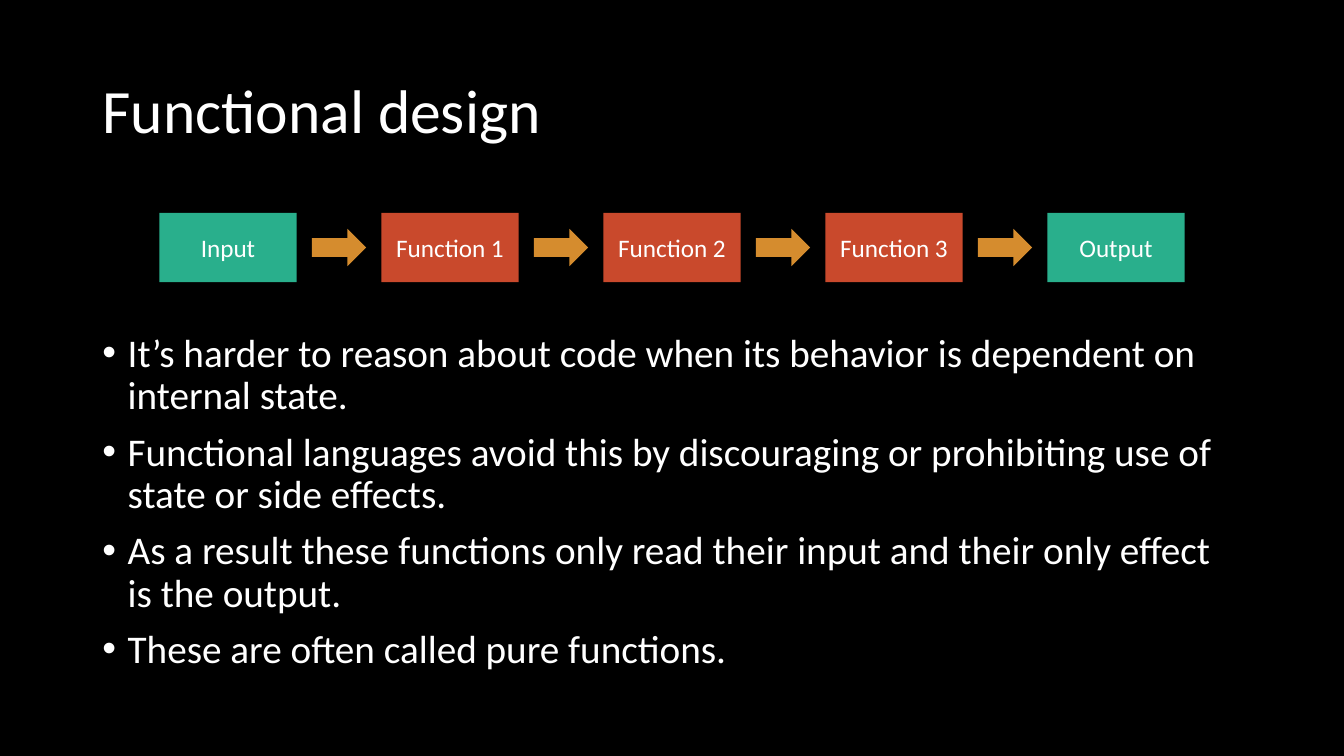
from lxml.etree import SubElement
from pptx import Presentation
from pptx.dml.color import RGBColor
from pptx.enum.shapes import MSO_SHAPE as Preset
from pptx.enum.text import MSO_ANCHOR as Anchor, MSO_AUTO_SIZE as AutoSize, PP_ALIGN as Align
from pptx.oxml.ns import qn
from pptx.util import Pt

COLORS = {
    "background": "000000",
    "text": "FFFFFF",
    "data": "29AF8C",
    "function": "C9492C",
    "arrow": "D58C2E",
}
FONT = "Calibri"
PAGE_WIDTH, PAGE_HEIGHT = 960, 540

# Pipeline measures, in points
STEP_WIDTH, STEP_HEIGHT = 98, 49.4
ARROW_WIDTH, ARROW_HEIGHT = 38.7, 26.7
STEP_PITCH = 158.57
PIPELINE_MIDDLE = 176.8

STEPS = [
    ("Input", "data"),
    ("Function 1", "function"),
    ("Function 2", "function"),
    ("Function 3", "function"),
    ("Output", "data"),
]
POINTS = [
    "It’s harder to reason about code when its behavior is dependent on internal state.",
    "Functional languages avoid this by discouraging or prohibiting use of state or side effects.",
    "As a result these functions only read their input and their only effect is the output.",
    "These are often called pure functions.",
]


def color(name):
    return RGBColor.from_string(COLORS[name])


def write(para, text, size, align=Align.LEFT, line_spacing=None, before=0):
    para.alignment = align
    para.line_spacing = line_spacing
    para.space_before = Pt(before)
    span = para.add_run()
    span.text = text
    span.font.name = FONT
    span.font.size = Pt(size)
    span.font.color.rgb = color("text")


def add_bullet(para, indent):
    props = para._p.get_or_add_pPr()
    props.set("marL", str(Pt(indent)))
    props.set("indent", str(-Pt(indent)))
    SubElement(props, qn("a:buFont"), typeface="Arial")
    SubElement(props, qn("a:buChar"), char="•")


def place(box, left, top, width, height, anchor):
    box.left, box.top, box.width, box.height = map(Pt, (left, top, width, height))
    frame = box.text_frame
    frame.word_wrap = True
    frame.auto_size = AutoSize.NONE
    frame.vertical_anchor = anchor
    return frame


def add_block(group, preset, left, width, height, fill):
    top = PIPELINE_MIDDLE - height / 2
    box = group.shapes.add_shape(preset, Pt(left), Pt(top), Pt(width), Pt(height))
    box.shadow.inherit = False
    box.fill.solid()
    box.fill.fore_color.rgb = color(fill)
    box.line.fill.background()
    return box


def add_pipeline(page):
    group = page.shapes.add_group_shape()
    start = (PAGE_WIDTH - STEP_PITCH * (len(STEPS) - 1) - STEP_WIDTH) / 2
    arrow_offset = (STEP_PITCH + STEP_WIDTH - ARROW_WIDTH) / 2
    for index, (label, fill) in enumerate(STEPS):
        left = start + index * STEP_PITCH
        box = add_block(group, Preset.RECTANGLE, left, STEP_WIDTH, STEP_HEIGHT, fill)
        box.text_frame.vertical_anchor = Anchor.MIDDLE
        write(box.text_frame.paragraphs[0], label, 18, align=Align.CENTER)
        if index < len(STEPS) - 1:
            add_block(group, Preset.RIGHT_ARROW, left + arrow_offset,
                      ARROW_WIDTH, ARROW_HEIGHT, "arrow")


def add_points(body):
    frame = place(body, 66, 234.6, 828, 251.4, Anchor.TOP)
    for index, text in enumerate(POINTS):
        para = frame.add_paragraph() if index else frame.paragraphs[0]
        write(para, text, 28, line_spacing=0.9, before=10)
        add_bullet(para, 18)


def main():
    deck = Presentation()
    deck.slide_width, deck.slide_height = Pt(PAGE_WIDTH), Pt(PAGE_HEIGHT)
    page = deck.slides.add_slide(deck.slide_layouts[1])
    page.background.fill.solid()
    page.background.fill.fore_color.rgb = color("background")

    # Title
    title = place(page.shapes.title, 66, 28.8, 828, 104.4, Anchor.MIDDLE)
    write(title.paragraphs[0], "Functional design", 44, line_spacing=0.9)

    # Bullet list
    add_points(page.placeholders[1])

    # Input, functions and output joined by arrows
    add_pipeline(page)

    deck.save("out.pptx")


main()
